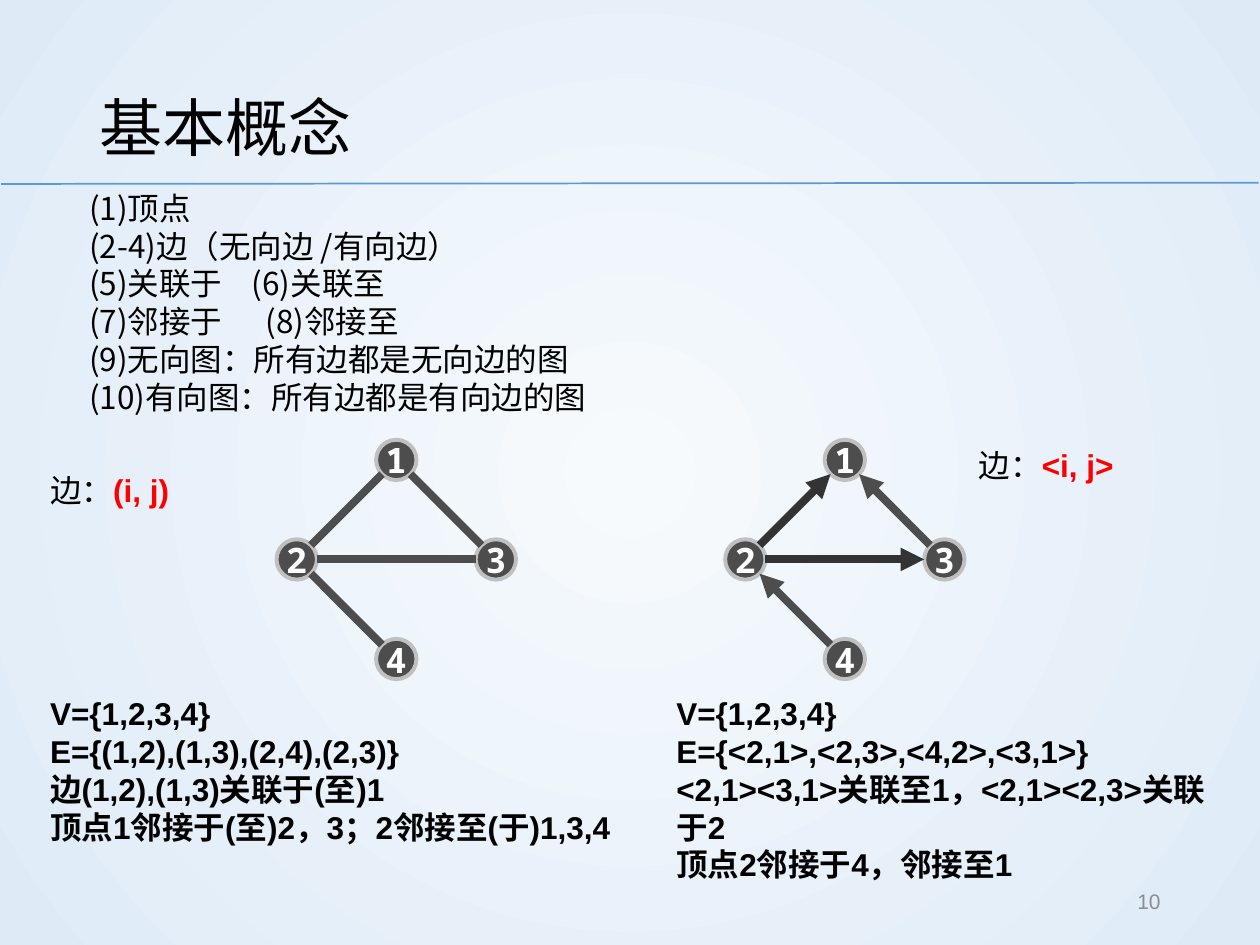
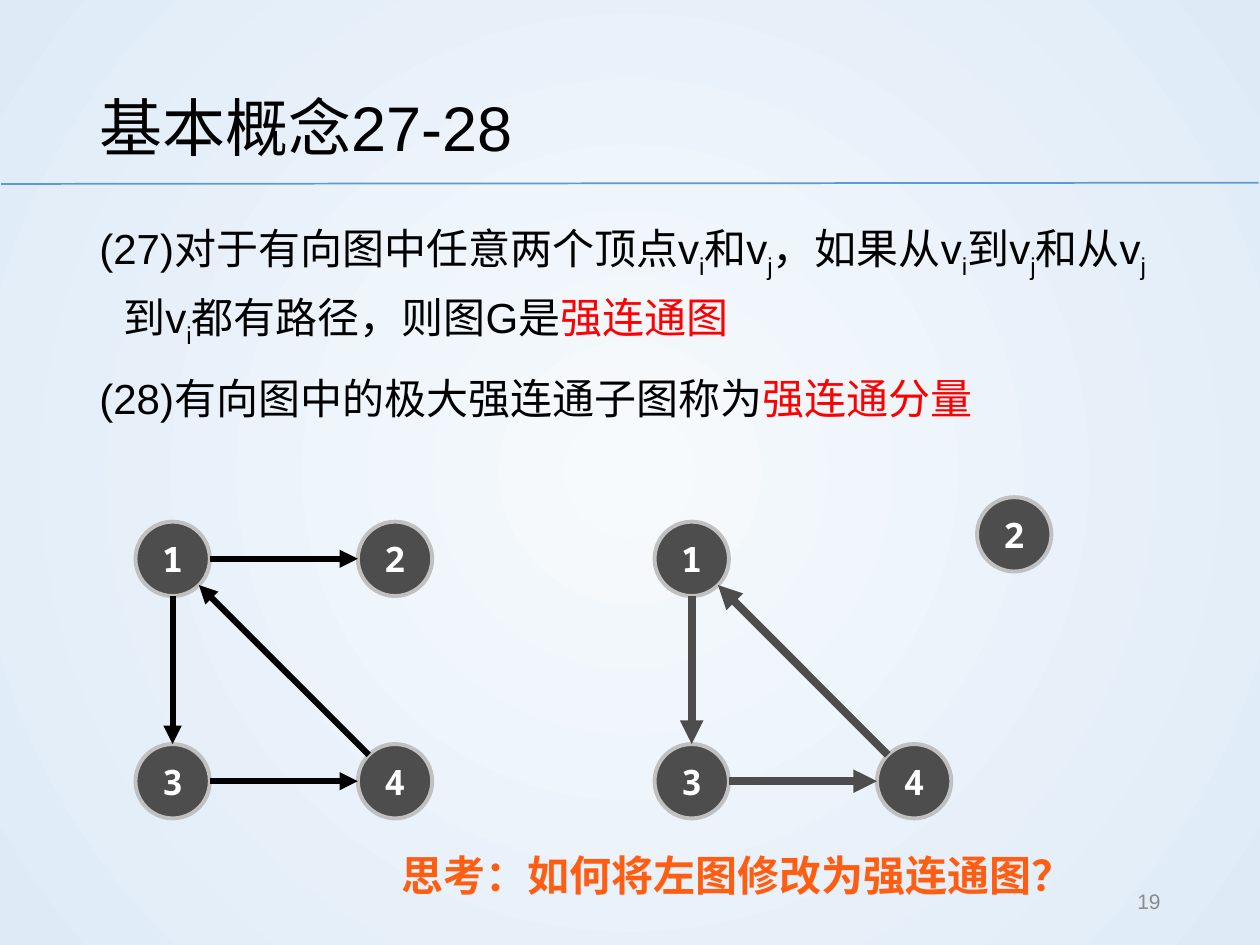
from math import hypot

from lxml.etree import SubElement
from pptx import Presentation
from pptx.dml.color import RGBColor
from pptx.enum.shapes import MSO_CONNECTOR as Connector, MSO_SHAPE as Shape
from pptx.enum.text import MSO_ANCHOR as Anchor, PP_ALIGN as Align
from pptx.oxml.ns import qn
from pptx.util import Inches, Pt

# The slide is a grid of 100 columns and 75 square rows.
COLUMNS, ROWS = 100, 75
CELL = Inches(10) / COLUMNS

BLACK = RGBColor(0x00, 0x00, 0x00)
WHITE = RGBColor(0xFF, 0xFF, 0xFF)
RED = RGBColor(0xFF, 0x00, 0x00)
ORANGE = RGBColor(0xFF, 0x5D, 0x12)
GRAPHITE = RGBColor(0x4D, 0x4D, 0x4D)
CHARCOAL = RGBColor(0x33, 0x33, 0x33)
SILVER = RGBColor(0xC0, 0xC0, 0xC0)
PAGE_GREY = RGBColor(0x8C, 0x8C, 0x8C)
RULE_BLUE = RGBColor(0x5B, 0x9B, 0xD5)
GLOW = RGBColor(0xF7, 0xFA, 0xFD)
SKY = RGBColor(0xDE, 0xEB, 0xF7)

LATIN, CJK, MONO = "Arial", "Noto Sans CJK SC", "Noto Sans Mono"
SUB = {"sub": True}
KEY = {"color": RED}
KEY_BOLD = {"color": RED, "bold": True}


def cells(*counts):
    return [round(count * CELL) for count in counts]


def add_run(paragraph, text, size, color=BLACK, bold=False, font=LATIN, sub=False):
    run = paragraph.add_run()
    run.text = text
    run.font.size = Pt(size)
    run.font.bold = bold
    run.font.name = font
    run.font.color.rgb = color
    properties = run.font._element
    SubElement(properties, qn("a:ea")).set("typeface", CJK)
    if sub:
        properties.set("baseline", "-25000")


def fill_text(frame, paragraphs, size, align=Align.LEFT, anchor=Anchor.TOP,
              wrap=True, spacing=None, before=0, hanging=0, tabs=None, **style):
    """Each paragraph is a list of (text, style changes); tabs maps line to stop."""
    frame.word_wrap = wrap
    frame.vertical_anchor = anchor
    for index, pieces in enumerate(paragraphs):
        paragraph = frame.paragraphs[0] if index == 0 else frame.add_paragraph()
        paragraph.alignment = align
        if spacing:
            paragraph.line_spacing = spacing
        if index and before:
            paragraph.space_before = Pt(before)
        properties = paragraph._p.get_or_add_pPr()
        if hanging:
            indent, = cells(hanging)
            properties.set("marL", str(indent))
            properties.set("indent", str(-indent))
        if tabs and index in tabs:
            stop = SubElement(SubElement(properties, qn("a:tabLst")), qn("a:tab"))
            stop.set("pos", str(cells(tabs[index])[0]))
            stop.set("algn", "l")
        for text, changes in pieces:
            add_run(paragraph, text, size, **{**style, **changes})


def add_text(slide, area, paragraphs, size, **options):
    box = slide.shapes.add_textbox(*cells(*area))
    fill_text(box.text_frame, paragraphs, size, **options)


def plain(*lines):
    return [[(line, {})] for line in lines]


def add_line(slide, start, end, color, width, arrow=False):
    line = slide.shapes.add_connector(Connector.STRAIGHT, *cells(*start, *end))
    line.line.color.rgb = color
    line.line.width = Pt(width)
    if arrow:
        SubElement(line.line._get_or_add_ln(), qn("a:tailEnd")).set("type", "triangle")
    SubElement(line._element.spPr, qn("a:effectLst"))


def add_vertex(slide, center, radius, label):
    x, y = center
    vertex = slide.shapes.add_shape(
        Shape.OVAL, *cells(x - radius, y - radius, 2 * radius, 2 * radius))
    vertex.shadow.inherit = False
    vertex.fill.solid()
    vertex.fill.fore_color.rgb = GRAPHITE
    vertex.line.color.rgb = SILVER
    vertex.line.width = Pt(2.25)
    frame = vertex.text_frame
    frame.margin_left = frame.margin_right = Inches(0.04)
    frame.margin_top = frame.margin_bottom = Inches(0.04)
    fill_text(frame, plain(label), 20, align=Align.CENTER, anchor=Anchor.MIDDLE,
              wrap=False, color=WHITE, bold=True, font=MONO)


def add_edge(slide, start, end, radius, color, width, arrow):
    """Join two vertices from rim to rim."""
    dx, dy = end[0] - start[0], end[1] - start[1]
    share = radius / hypot(dx, dy)
    shift_x, shift_y = dx * share, dy * share
    add_line(slide, (start[0] + shift_x, start[1] + shift_y),
             (end[0] - shift_x, end[1] - shift_y), color, width, arrow)


def add_graph(slide, origin, step, layout, edges, radius, color=GRAPHITE,
              width=4.5, arrow=True, dark_from=None):
    """Layout maps labels to steps from the origin; edges are label pairs."""
    centers = {label: (origin[0] + column * step, origin[1] + row * step)
               for label, (column, row) in layout.items()}
    for label, center in centers.items():
        add_vertex(slide, center, radius, label)
    for start, end in edges:
        shade = CHARCOAL if start == dark_from else color
        add_edge(slide, centers[start], centers[end], radius, shade, width, arrow)


def add_base_slide(deck, title, number):
    slide = deck.slides.add_slide(deck.slide_layouts[6])
    fill = slide.background.fill
    fill.gradient()
    for stop, color in zip(fill.gradient_stops, (GLOW, SKY)):
        stop.color.rgb = color
    gradient = slide.element.find(".//" + qn("a:gradFill"))
    gradient.remove(gradient.find(qn("a:lin")))
    circle = SubElement(gradient, qn("a:path"))
    circle.set("path", "circle")
    focus = SubElement(circle, qn("a:fillToRect"))
    for side in "ltrb":
        focus.set(side, "50000")

    add_line(slide, (0.1, 14.6), (99.9, 14.5), RULE_BLUE, 1)
    add_text(slide, (6.9, 4, 86.2, 10.8), plain(title), 36,
             anchor=Anchor.MIDDLE, spacing=1.2)
    add_text(slide, (70.6, 69.5, 22.5, 4), plain(number), 12,
             align=Align.RIGHT, anchor=Anchor.MIDDLE, color=PAGE_GREY)
    return slide


def build_edge_kinds(deck):
    slide = add_base_slide(deck, "基本概念", "10")
    add_text(slide, (6.1, 14.5, 70.6, 19.6), plain(
        "(1)顶点",
        "(2-4)边（无向边 /有向边）",
        "(5)关联于\t(6)关联至",
        "(7)邻接于\t(8)邻接至",
        "(9)无向图：所有边都是无向边的图",
        "(10)有向图：所有边都是有向边的图",
    ), 18, font=CJK, tabs={2: 12.9, 3: 14})

    for area, notation in (((3, 36.9, 17.2, 4), "(i, j)"),
                           ((76.7, 34.9, 15, 4), "<i, j>")):
        add_text(slide, area, [[("边：", {}), (notation, KEY_BOLD)]], 18)

    add_text(slide, (3, 54.6, 47, 13.1), plain(
        "V={1,2,3,4}",
        "E={(1,2),(1,3),(2,4),(2,3)}",
        "边(1,2),(1,3)关联于(至)1",
        "顶点1邻接于(至)2，3；2邻接至(于)1,3,4",
    ), 18, bold=True)
    add_text(slide, (52.7, 54.6, 46.4, 16.1), plain(
        "V={1,2,3,4}",
        "E={<2,1>,<2,3>,<4,2>,<3,1>}",
        "<2,1><3,1>关联至1，<2,1><2,3>关联于2",
        "顶点2邻接于4，邻接至1",
    ), 18, bold=True)

    diamond = {"1": (1, 0), "2": (0, 1), "3": (2, 1), "4": (1, 2)}
    edges = ("31", "42", "23", "21")
    add_graph(slide, (23.55, 36.5), 7.9, diamond, edges, 1.6, arrow=False)
    add_graph(slide, (59.15, 36.5), 7.9, diamond, edges, 1.6, dark_from="2")


def build_strong_connectivity(deck):
    slide = add_base_slide(deck, "基本概念27-28", "19")
    v_i = [("v", {}), ("i", SUB)]
    v_j = [("v", {}), ("j", SUB)]
    strong_graph = [
        ("(27)对于有向图中任意两个顶点", {}), *v_i, ("和", {}), *v_j,
        ("，如果从", {}), *v_i, ("到", {}), *v_j, ("和从", {}), *v_j,
        ("到", {}), *v_i, ("都有路径，则图G是", {}), ("强连通图", KEY)]
    component = [("(28)有向图中的极大强连通子图称为", {}), ("强连通分量", KEY)]
    add_text(slide, (6.9, 16.3, 86.2, 51.3), [strong_graph, component], 24,
             spacing=1.2, before=7.5, hanging=1.9)

    square = {"1": (0, 0), "2": (1, 0), "3": (0, 1), "4": (1, 1)}
    cycle = ("13", "34", "41")
    add_graph(slide, (13.7, 44.35), 17.65, square, ("12", *cycle), 2.95,
              color=BLACK, width=3.5)
    separated = {**square, "2": (1.45, -0.11)}
    add_graph(slide, (54.9, 44.35), 17.65, separated, cycle, 2.95)
    add_text(slide, (30.4, 66.9, 56.2, 5), plain("思考：如何将左图修改为强连通图？"),
             24, align=Align.CENTER, wrap=False, color=ORANGE, bold=True)


def main():
    deck = Presentation()
    deck.slide_width, deck.slide_height = cells(COLUMNS, ROWS)
    build_edge_kinds(deck)
    build_strong_connectivity(deck)
    deck.save("out.pptx")


if __name__ == "__main__":
    main()
